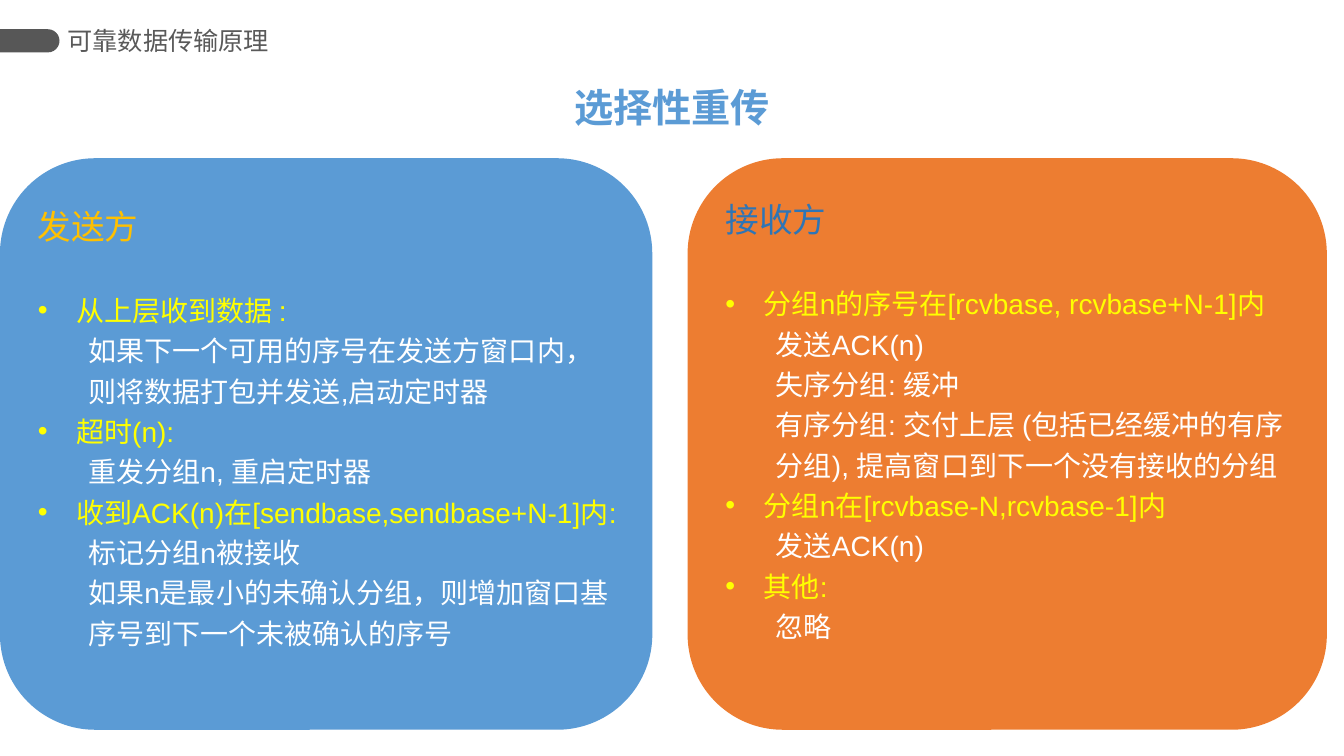
from dataclasses import dataclass

from lxml.etree import SubElement
from pptx import Presentation
from pptx.dml.color import RGBColor
from pptx.enum.shapes import MSO_SHAPE
from pptx.enum.text import MSO_ANCHOR, MSO_AUTO_SIZE, PP_ALIGN
from pptx.oxml.ns import qn
from pptx.util import Pt

EMU_PER_PX = 9144


def px(length: int) -> int:
    return length * EMU_PER_PX


@dataclass(frozen=True)
class Theme:
    latin: str = "Arial"
    east_asian: str = "Noto Sans CJK SC"
    tab: str = "575757"
    section: str = "595959"
    sender: str = "5B9BD5"
    sender_heading: str = "FFC000"
    receiver: str = "ED7D31"
    receiver_heading: str = "2E75B6"
    event: str = "FFFF00"
    action: str = "FFFFFF"
    section_size: int = 18
    title_size: int = 28
    heading_size: int = 24
    body_size: int = 20
    line_spacing: float = 1.2
    heading_gap: int = 29


@dataclass(frozen=True)
class Box:
    left: int
    top: int
    width: int
    height: int

    def emu(self) -> tuple:
        return px(self.left), px(self.top), px(self.width), px(self.height)


@dataclass(frozen=True)
class Event:
    trigger: str
    actions: tuple


@dataclass(frozen=True)
class Panel:
    box: Box
    fill: str
    heading: str
    heading_color: str
    events: tuple
    anchor: MSO_ANCHOR
    bottom_inset: int


THEME = Theme()

PANELS = (
    Panel(
        Box(0, 157, 647, 567), THEME.sender, "发送方", THEME.sender_heading,
        (
            Event("从上层收到数据 :",
                  ("如果下一个可用的序号在发送方窗口内，则将数据打包并发送,启动定时器",)),
            Event("超时(n):", ("重发分组n, 重启定时器",)),
            Event("收到ACK(n)在[sendbase,sendbase+N-1]内:",
                  ("标记分组n被接收",
                   "如果n是最小的未确认分组，则增加窗口基序号到下一个未被确认的序号")),
        ),
        MSO_ANCHOR.MIDDLE, 45,
    ),
    Panel(
        Box(682, 157, 634, 567), THEME.receiver, "接收方", THEME.receiver_heading,
        (
            Event("分组n的序号在[rcvbase, rcvbase+N-1]内",
                  ("发送ACK(n)", "失序分组: 缓冲",
                   "有序分组: 交付上层 (包括已经缓冲的有序分组), 提高窗口到下一个没有接收的分组")),
            Event("分组n在[rcvbase-N,rcvbase-1]内", ("发送ACK(n)",)),
            Event("其他:", ("忽略",)),
        ),
        MSO_ANCHOR.TOP, 5,
    ),
)


def add_run(paragraph, text: str, size: int, color: str, bold: bool = False) -> None:
    run = paragraph.add_run()
    run.text = text
    run.font.size = Pt(size)
    run.font.bold = bold
    run.font.color.rgb = RGBColor.from_string(color)
    run.font.name = THEME.latin
    SubElement(run.font._element, qn("a:ea"), typeface=THEME.east_asian)


def fill_plain(shape, color: str) -> None:
    shape.shadow.inherit = False
    shape.fill.solid()
    shape.fill.fore_color.rgb = RGBColor.from_string(color)
    shape.line.fill.background()


def add_panel_line(frame, text: str, color: str, margin: int, hanging: int = 0,
                   level: int = 0):
    paragraph = frame.add_paragraph()
    properties = paragraph._p.get_or_add_pPr()
    properties.set("marL", str(px(margin)))
    properties.set("indent", str(px(-hanging)))
    if hanging:
        SubElement(properties, qn("a:buFont"), typeface=THEME.latin)
        SubElement(properties, qn("a:buChar"), char="•")
    paragraph.level = level
    paragraph.alignment = PP_ALIGN.LEFT
    paragraph.line_spacing = THEME.line_spacing
    add_run(paragraph, text, THEME.body_size, color)
    return paragraph


def add_panel(slide, panel: Panel) -> None:
    card = slide.shapes.add_shape(MSO_SHAPE.ROUNDED_RECTANGLE, *panel.box.emu())
    fill_plain(card, panel.fill)
    frame = card.text_frame
    frame.word_wrap = True
    frame.vertical_anchor = panel.anchor
    frame.margin_bottom = px(panel.bottom_inset)
    heading = frame.paragraphs[0]
    heading.alignment = PP_ALIGN.LEFT
    heading.line_spacing = THEME.line_spacing
    add_run(heading, panel.heading, THEME.heading_size, panel.heading_color)
    for position, event in enumerate(panel.events):
        trigger = add_panel_line(frame, event.trigger, THEME.event, 38, hanging=38)
        if position == 0:
            trigger.space_before = Pt(THEME.heading_gap)
        for action in event.actions:
            add_panel_line(frame, action, THEME.action, 50, level=1)


def add_header(slide) -> None:
    tab = slide.shapes.add_shape(MSO_SHAPE.ROUND_2_SAME_RECTANGLE,
                                 *Box(18, 11, 23, 59).emu())
    tab.adjustments[0] = 0.5
    tab.rotation = 90
    fill_plain(tab, THEME.tab)

    section = slide.shapes.add_textbox(*Box(67, 19, 233, 42).emu()).text_frame
    section.word_wrap = True
    section.vertical_anchor = MSO_ANCHOR.MIDDLE
    section.margin_left = section.margin_right = 0
    add_run(section.paragraphs[0], "可靠数据传输原理", THEME.section_size, THEME.section)


def add_title(slide) -> None:
    title = slide.shapes.add_textbox(*Box(558, 78, 217, 57).emu()).text_frame
    title.word_wrap = False
    title.auto_size = MSO_AUTO_SIZE.SHAPE_TO_FIT_TEXT
    title.paragraphs[0].alignment = PP_ALIGN.CENTER
    add_run(title.paragraphs[0], "选择性重传", THEME.title_size, THEME.sender, bold=True)


def main() -> None:
    deck = Presentation()
    deck.slide_width, deck.slide_height = px(1333), px(750)
    slide = deck.slides.add_slide(deck.slide_layouts[6])
    add_header(slide)
    for panel in PANELS:
        add_panel(slide, panel)
    add_title(slide)
    deck.save("out.pptx")


if __name__ == "__main__":
    main()
